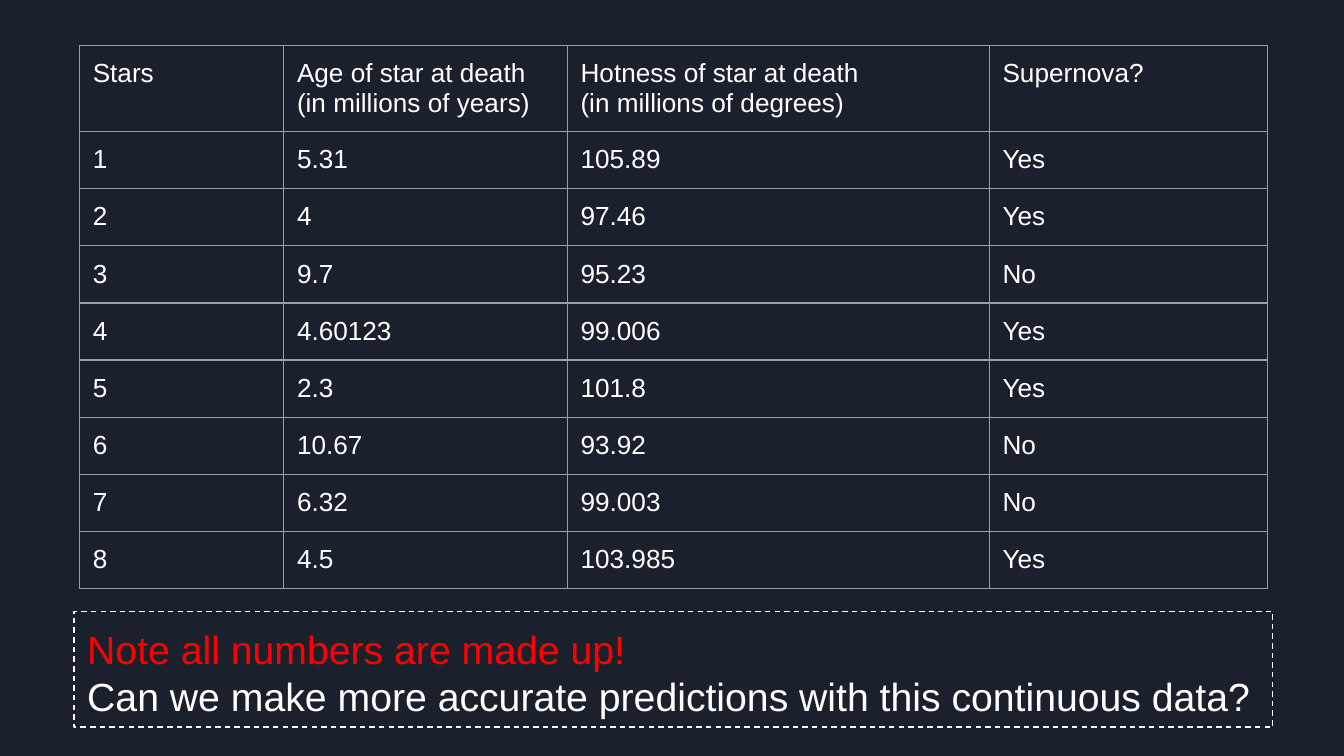
from lxml import etree
from pptx import Presentation
from pptx.dml.color import RGBColor
from pptx.enum.dml import MSO_LINE
from pptx.enum.shapes import MSO_SHAPE
from pptx.enum.text import MSO_ANCHOR, PP_ALIGN
from pptx.oxml.ns import qn
from pptx.util import Inches, Pt

RECT, DASH = MSO_SHAPE.RECTANGLE, MSO_LINE.DASH
TOP, LEFT = MSO_ANCHOR.TOP, PP_ALIGN.LEFT
BACKGROUND, WHITE, RED, GREY = "1B212C", "FFFFFF", "FF0000", "9E9E9E"
MARGINS = {f"margin_{side}": Inches(0.1) for side in ("left", "top", "right", "bottom")}

SLIDE_WIDTH = 10
SLIDE_HEIGHT = SLIDE_WIDTH * 9 / 16
COLUMN_WIDTHS = [1.52, 2.11, 3.14, 2.07]
HEADER_HEIGHT, BODY_HEIGHT = 0.64, 3.4
HEADINGS = ["Stars", "Age of star at death (in millions of years)",
            "Hotness of star at death\n(in millions of degrees)", "Supernova?"]
STARS = [
    ("5.31", "105.89", "Yes"),
    ("4", "97.46", "Yes"),
    ("9.7", "95.23", "No"),
    ("4.60123", "99.006", "Yes"),
    ("2.3", "101.8", "Yes"),
    ("10.67", "93.92", "No"),
    ("6.32", "99.003", "No"),
    ("4.5", "103.985", "Yes"),
]
NOTES = [("Note all numbers are made up!", RED),
         ("Can we make more accurate predictions with this continuous data?", WHITE)]


def rgb(color):
    return RGBColor.from_string(color)


def set_attrs(obj, values):
    for name, value in values.items():
        setattr(obj, name, value)


def write(tf, lines, size):
    """Fill a text frame with (text, color) paragraphs."""
    for i, (text, color) in enumerate(lines):
        p = tf.add_paragraph() if i else tf.paragraphs[0]
        p.alignment = LEFT
        r = p.add_run()
        r.text = text
        set_attrs(r.font, {"name": "Arial", "size": Pt(size), "bold": False})
        r.font.color.rgb = rgb(color)


def add_borders(cell, color, width):
    tcPr = cell._tc.get_or_add_tcPr()
    for i, side in enumerate(("lnL", "lnR", "lnT", "lnB")):
        ln = etree.Element(qn(f"a:{side}"), w=str(Pt(width)))
        fill = etree.SubElement(ln, qn("a:solidFill"))
        etree.SubElement(fill, qn("a:srgbClr"), val=color)
        tcPr.insert(i, ln)


def add_star_table(slide, left, top):
    rows = [HEADINGS] + [(str(n), *star) for n, star in enumerate(STARS, 1)]
    heights = [HEADER_HEIGHT] + [BODY_HEIGHT / len(STARS)] * len(STARS)
    table = slide.shapes.add_table(
        len(rows), len(HEADINGS), Inches(left), Inches(top),
        Inches(sum(COLUMN_WIDTHS)), Inches(sum(heights))).table
    set_attrs(table, {"first_row": False, "horz_banding": False})
    for column, width in zip(table.columns, COLUMN_WIDTHS):
        column.width = Inches(width)
    for row, height, values in zip(table.rows, heights, rows):
        row.height = Inches(height)
        for cell, value in zip(row.cells, values):
            set_attrs(cell, MARGINS)
            cell.fill.background()
            add_borders(cell, GREY, 0.75)
            write(cell.text_frame, [(line, WHITE) for line in value.split("\n")], 14)


def add_note_box(slide, left, top, width, height):
    box = slide.shapes.add_shape(RECT, Inches(left), Inches(top), Inches(width), Inches(height))
    box.shadow.inherit = False
    box.fill.background()
    box.line.color.rgb = rgb(WHITE)
    set_attrs(box.line, {"width": Pt(0.75), "dash_style": DASH})
    tf = box.text_frame
    set_attrs(tf, {"word_wrap": True, "vertical_anchor": TOP, **MARGINS})
    write(tf, NOTES, 21)


def main():
    prs = Presentation()
    prs.slide_width, prs.slide_height = Inches(SLIDE_WIDTH), Inches(SLIDE_HEIGHT)
    slide = prs.slides.add_slide(prs.slide_layouts[6])
    slide.background.fill.solid()
    slide.background.fill.fore_color.rgb = rgb(BACKGROUND)

    # Star data
    add_star_table(slide, 0.59, 0.34)
    # Note and question below the table
    add_note_box(slide, 0.55, 4.55, 8.92, 0.86)
    prs.save("out.pptx")


if __name__ == "__main__":
    main()
